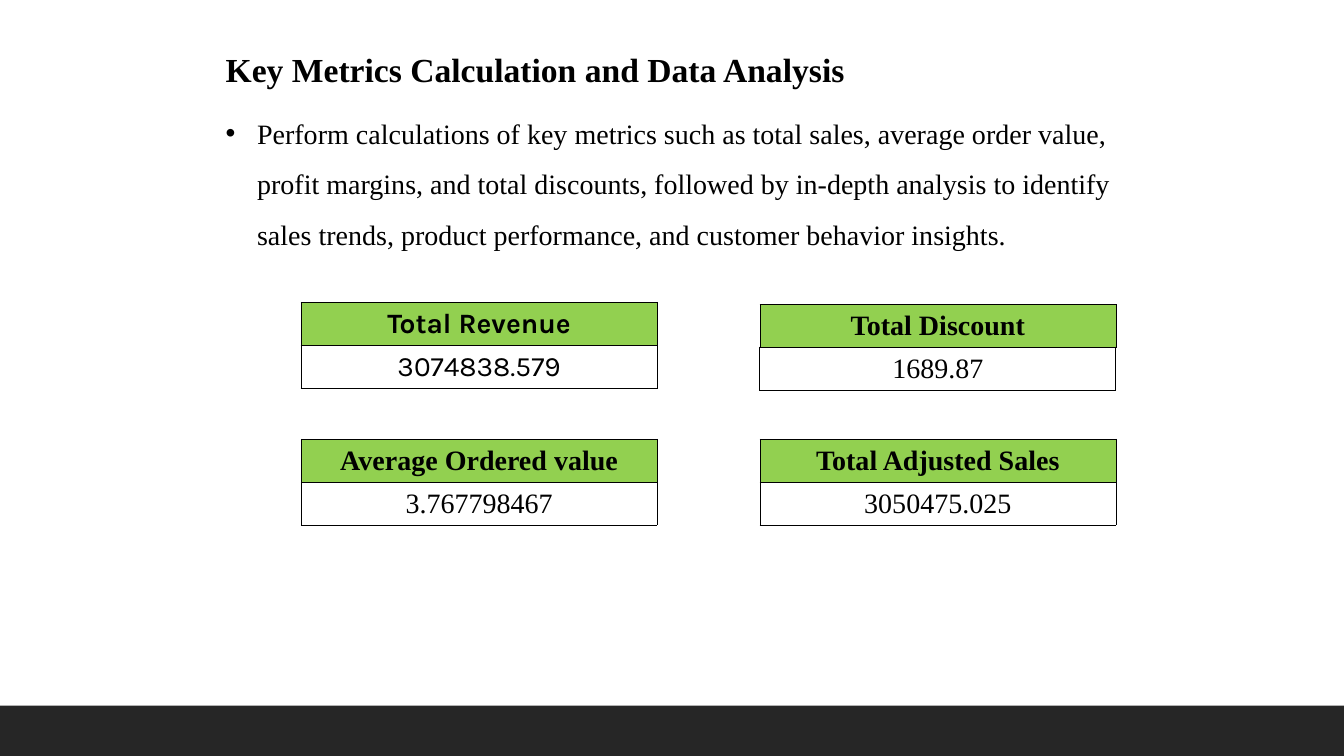
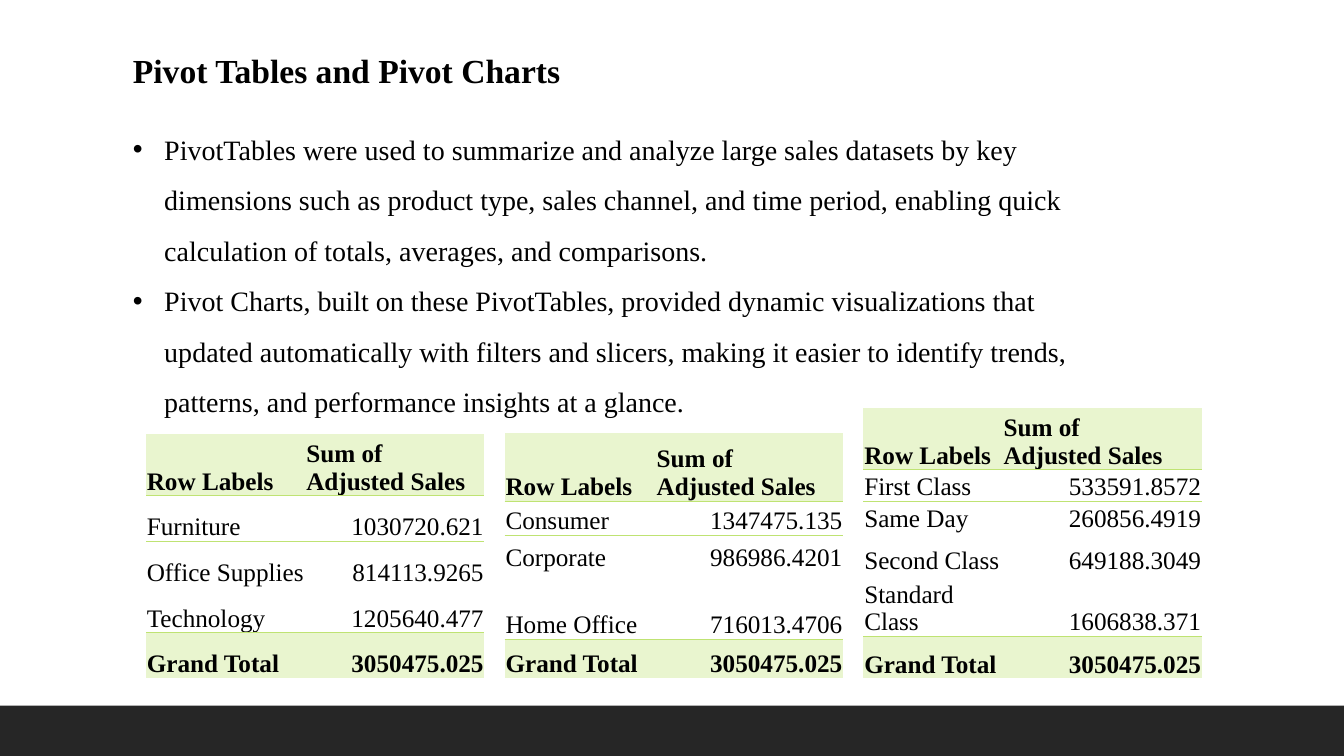
import lxml.etree
import pptx
import pptx.dml.color
import pptx.enum.shapes
import pptx.enum.text
import pptx.oxml.ns
import pptx.util

Cm = pptx.util.Cm
Pt = pptx.util.Pt
RGBColor = pptx.dml.color.RGBColor
ALIGN = pptx.enum.text.PP_ALIGN
ANCHOR = pptx.enum.text.MSO_ANCHOR

# Shared look
BLACK = RGBColor(0x00, 0x00, 0x00)
WHITE = RGBColor(0xFF, 0xFF, 0xFF)
BAND = RGBColor(0x26, 0x26, 0x26)
GREEN = RGBColor(0x92, 0xD0, 0x50)
PALE_GREEN = RGBColor(0xE9, 0xF5, 0xCF)
RULE_GREEN = RGBColor(0xBF, 0xE3, 0x73)
SERIF = "Times New Roman"
SANS = "Karla"
PLAIN_TABLE = "{2D5ABB26-0587-4C30-8999-92F81FD0307C}"
SLIDE_WIDTH, SLIDE_HEIGHT, BAND_HEIGHT = 33.87, 19.05, 1.27

# Content: lengths in centimetres
METRICS_TITLE = "Key Metrics Calculation and Data Analysis"
METRICS_POINTS = [
    "Perform calculations of key metrics such as total sales, average order value, "
    "profit margins, and total discounts, followed by in-depth analysis to identify "
    "sales trends, product performance, and customer behavior insights.",
]
METRIC_LEFTS = (7.59, 19.15)
METRIC_WIDTH, METRIC_ROW = 8.97, 1.08
# label, value, column, top, font, header line and value line in points
METRICS = [
    ("Total Revenue", "3074838.579", 0, 7.62, SANS, 1, 1),
    ("Average Ordered value", "3.767798467", 0, 11.07, SERIF, 0.5, 0.5),
    ("Total Discount", "1689.87", 1, 7.67, SERIF, 0.5, 1),
    ("Total Adjusted Sales", "3050475.025", 1, 11.07, SERIF, 0.5, 0.5),
]

PIVOT_TITLE = "Pivot Tables and Pivot Charts"
PIVOT_POINTS = [
    "PivotTables were used to summarize and analyze large sales datasets by key "
    "dimensions such as product type, sales channel, and time period, enabling quick "
    "calculation of totals, averages, and comparisons.",
    "Pivot Charts, built on these PivotTables, provided dynamic visualizations that "
    "updated automatically with filters and slicers, making it easier to identify "
    "trends, patterns, and performance insights at a glance.",
]
PIVOT_LEFT, PIVOT_WIDTH, PIVOT_GAP, PIVOT_BOTTOM = 3.68, 8.53, 0.51, 17.09
GRAND_TOTAL = ("Grand Total", "3050475.025")
PIVOTS = [
    {
        "heading": "Sum of Adjusted Sales",
        "label_width": 4.02,
        "heights": [1.55, 1.15, 1.15, 1.15, 1.15],
        "rows": [("Furniture", "1030720.621"), ("Office Supplies", "814113.9265"),
                 ("Technology", "1205640.477")],
    },
    {
        "heading": "Sum of\nAdjusted Sales",
        "label_width": 3.81,
        "heights": [1.7, 0.86, 0.93, 1.7, 0.98],
        "rows": [("Consumer", "1347475.135"), ("Corporate", "986986.4201"),
                 ("Home Office", "716013.4706")],
    },
    {
        "heading": "Sum of\nAdjusted Sales",
        "label_width": 3.51,
        "heights": [1.56, 0.8, 0.8, 1.06, 1.54, 1.06],
        "rows": [("First Class", "533591.8572"), ("Same Day", "260856.4919"),
                 ("Second Class", "649188.3049"), ("Standard Class", "1606838.371")],
    },
]


def add_child(parent, tag, **attributes):
    child = lxml.etree.SubElement(parent, pptx.oxml.ns.qn(tag))
    for name, value in attributes.items():
        child.set(name, str(value))
    return child


def add_span(para, text, size, font=SERIF, bold=False):
    span = para.add_run()
    span.text = text
    span.font.size = Pt(size)
    span.font.name = font
    span.font.bold = bold
    span.font.color.rgb = BLACK


def add_box(page, left, top, width, height):
    box = page.shapes.add_textbox(Cm(left), Cm(top), Cm(width), Cm(height))
    box.text_frame.word_wrap = True
    box.text_frame.auto_size = pptx.enum.text.MSO_AUTO_SIZE.SHAPE_TO_FIT_TEXT
    return box.text_frame


def add_page(deck, title, left, top):
    """A page with the dark footer band and its title."""
    page = deck.slides.add_slide(deck.slide_layouts[6])
    band = page.shapes.add_shape(
        pptx.enum.shapes.MSO_SHAPE.RECTANGLE, 0, Cm(SLIDE_HEIGHT - BAND_HEIGHT),
        Cm(SLIDE_WIDTH), Cm(BAND_HEIGHT))
    band.shadow.inherit = False
    band.fill.solid()
    band.fill.fore_color.rgb = BAND
    band.line.fill.background()
    frame = add_box(page, left, top, 16.92, 1.27)
    add_span(frame.paragraphs[0], title, 24, bold=True)
    return page


def add_points(page, points, left, top, width, height):
    frame = add_box(page, left, top, width, height)
    for index, point in enumerate(points):
        para = frame.add_paragraph() if index else frame.paragraphs[0]
        para.line_spacing = 1.5
        properties = para._p.get_or_add_pPr()
        properties.set("marL", str(Cm(0.79)))
        properties.set("indent", str(-Cm(0.79)))
        add_child(properties, "a:buFont", typeface="Arial")
        add_child(properties, "a:buChar", char="•")
        add_span(para, point, 20)


def add_table(page, left, top, widths, heights):
    frame = page.shapes.add_table(
        len(heights), len(widths), Cm(left), Cm(top), Cm(sum(widths)), Cm(sum(heights)))
    table = frame.table
    table.first_row = table.horz_banding = False
    table._tbl.tblPr.find(pptx.oxml.ns.qn("a:tableStyleId")).text = PLAIN_TABLE
    for column, width in zip(table.columns, widths):
        column.width = Cm(width)
    for row, height in zip(table.rows, heights):
        row.height = Cm(height)
    return table


def fill_cell(cell, text, size, align, anchor, fill, sides, line, points,
              font=SERIF, bold=False):
    cell.margin_left = cell.margin_right = cell.margin_top = Cm(0.02)
    cell.margin_bottom = 0
    cell.vertical_anchor = anchor
    for index, words in enumerate(text.split("\n")):
        para = cell.text_frame.add_paragraph() if index else cell.text_frame.paragraphs[0]
        para.alignment = align
        add_span(para, words, size, font, bold)
    # Borders come before the fill in the cell properties
    properties = cell._tc.get_or_add_tcPr()
    for side in sides:
        border = add_child(properties, "a:ln" + side, w=Pt(points))
        add_child(add_child(border, "a:solidFill"), "a:srgbClr", val=line)
    if fill is None:
        cell.fill.background()
    else:
        cell.fill.solid()
        cell.fill.fore_color.rgb = fill


def add_metric(page, label, value, column, top, font, label_line, value_line):
    table = add_table(page, METRIC_LEFTS[column], top, [METRIC_WIDTH], [METRIC_ROW] * 2)
    rows = [(label, GREEN, label_line, True), (value, WHITE, value_line, False)]
    for index, (text, fill, points, bold) in enumerate(rows):
        fill_cell(table.cell(index, 0), text, 20, ALIGN.CENTER, ANCHOR.MIDDLE, fill,
                  "LRTB", BLACK, points, font, bold)


def add_pivot(page, left, pivot):
    heights, label_width = pivot["heights"], pivot["label_width"]
    table = add_table(page, left, PIVOT_BOTTOM - sum(heights),
                      [label_width, PIVOT_WIDTH - label_width], heights)
    rows = [("Row Labels", pivot["heading"])] + pivot["rows"] + [GRAND_TOTAL]
    last = len(rows) - 1
    # Rules run below the header and above the total
    sides = {0: "B", 1: "T", last - 1: "B", last: "T"}
    for row, texts in enumerate(rows):
        strong = row in (0, last)
        for column, text in enumerate(texts):
            align = ALIGN.RIGHT if row and column else ALIGN.LEFT
            fill_cell(table.cell(row, column), text, 18, align, ANCHOR.BOTTOM,
                      PALE_GREEN if strong else None, sides.get(row, ""),
                      RULE_GREEN, 0.5, bold=strong)


def main():
    deck = pptx.Presentation()
    deck.slide_width, deck.slide_height = Cm(SLIDE_WIDTH), Cm(SLIDE_HEIGHT)

    # Key metrics
    page = add_page(deck, METRICS_TITLE, 5.44, 1.12)
    add_points(page, METRICS_POINTS, 5.44, 2.39, 22.94, 3.96)
    for metric in METRICS:
        add_metric(page, *metric)

    # Pivot tables
    page = add_page(deck, PIVOT_TITLE, 3.1, 1.14)
    add_points(page, PIVOT_POINTS, 3.1, 2.79, 24.56, 7.8)
    for index, pivot in enumerate(PIVOTS):
        add_pivot(page, PIVOT_LEFT + index * (PIVOT_WIDTH + PIVOT_GAP), pivot)

    deck.save("out.pptx")


if __name__ == "__main__":
    main()
